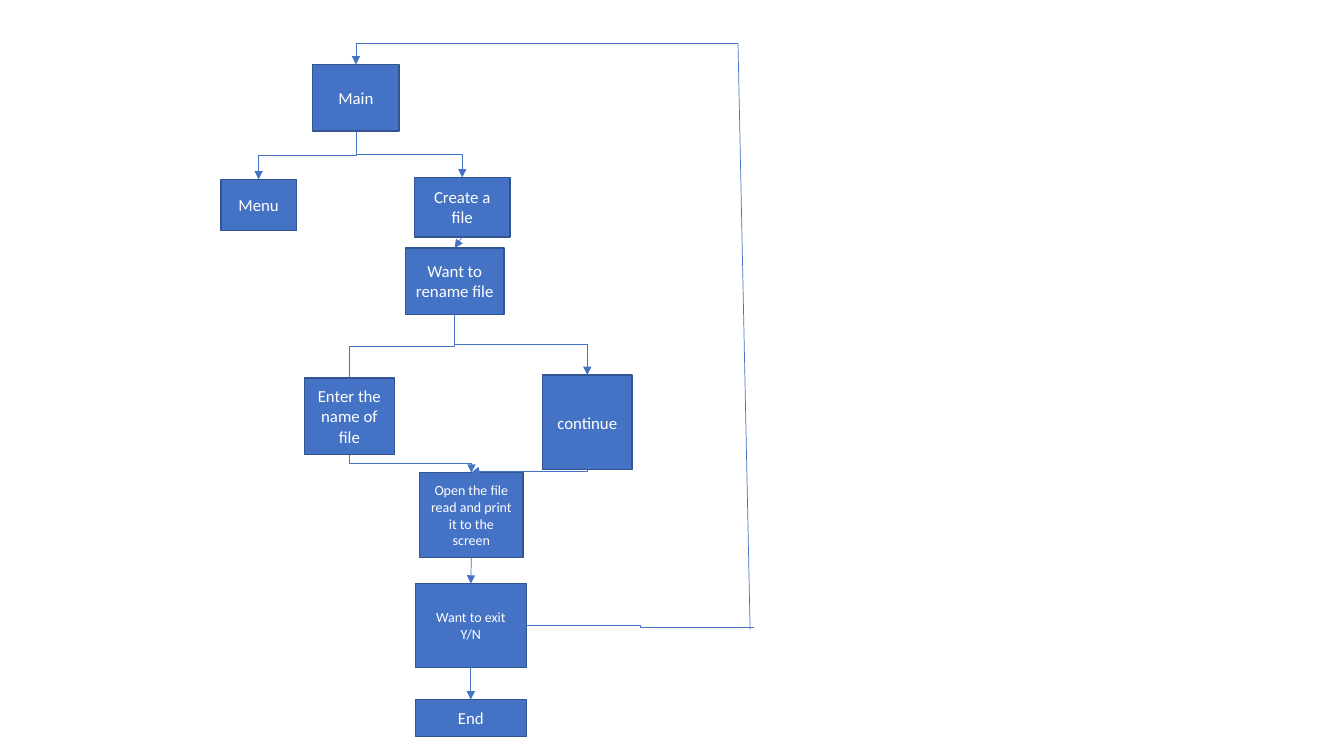
from dataclasses import dataclass

from lxml.etree import SubElement
from pptx import Presentation
from pptx.dml.color import RGBColor
from pptx.enum.shapes import MSO_CONNECTOR, MSO_SHAPE
from pptx.enum.text import MSO_ANCHOR, PP_ALIGN
from pptx.oxml.ns import qn
from pptx.util import Inches, Pt


@dataclass(frozen=True)
class Theme:
    fill: RGBColor = RGBColor(0x44, 0x72, 0xC4)
    border: RGBColor = RGBColor(0x32, 0x54, 0x91)
    text: RGBColor = RGBColor(0xFF, 0xFF, 0xFF)
    font: str = "Calibri"
    normal: int = 12
    small: int = 10
    border_width: float = 1
    flow_width: float = 0.5


theme = Theme()

# Steps: text, left, top, width, height, text size
steps = {
    "main": ("Main", 3.1, 0.64, 0.86, 0.66, theme.normal),
    "exit": ("Want to exit Y/N", 4.12, 5.79, 1.1, 0.83, theme.small),
    "rename": ("Want to rename file", 4.02, 2.46, 0.98, 0.66, theme.normal),
    "name": ("Enter the name of file", 3.02, 3.75, 0.89, 0.76, theme.normal),
    "continue": ("continue", 5.38, 3.72, 0.89, 0.94, theme.normal),
    "menu": ("Menu", 2.19, 1.78, 0.75, 0.51, theme.normal),
    "create": ("Create a file", 4.11, 1.76, 0.95, 0.59, theme.normal),
    "print": ("Open the file read and print it to the screen",
              4.16, 4.69, 1.03, 0.84, theme.small),
    "end": ("End", 4.12, 6.94, 1.1, 0.37, theme.normal),
}

# Flows from the bottom of one step to the top of the next: from, to, arrowhead
branches = [
    ("main", "menu", True),
    ("main", "create", True),
    ("rename", "name", False),
    ("rename", "continue", True),
    ("name", "print", True),
    ("continue", "print", True),
]
straight_flows = [("exit", "end"), ("print", "exit"), ("create", "rename")]

# Way back from the exit question to Main
exit_stub = (7.48, 6.22)
return_corners = [(7.44, 6.25), (7.32, 0.43), (3.53, 0.43)]

presentation = Presentation()
presentation.slide_width = Inches(13.33)
presentation.slide_height = Inches(7.5)
slide = presentation.slides.add_slide(presentation.slide_layouts[6])


def top_of(step):
    _, left, top, width, _, _ = steps[step]
    return left + width / 2, top


def bottom_of(step):
    _, left, top, width, height, _ = steps[step]
    return left + width / 2, top + height


def right_of(step):
    _, left, top, width, height, _ = steps[step]
    return left + width, top + height / 2


def add_step(text, left, top, width, height, size):
    box = slide.shapes.add_shape(
        MSO_SHAPE.RECTANGLE, *map(Inches, (left, top, width, height)))
    box.shadow.inherit = False
    box.fill.solid()
    box.fill.fore_color.rgb = theme.fill
    box.line.color.rgb = theme.border
    box.line.width = Pt(theme.border_width)
    frame = box.text_frame
    frame.word_wrap = True
    frame.vertical_anchor = MSO_ANCHOR.MIDDLE
    frame.text = text
    paragraph = frame.paragraphs[0]
    paragraph.alignment = PP_ALIGN.CENTER
    font = paragraph.runs[0].font
    font.name, font.size = theme.font, Pt(size)
    font.color.rgb = theme.text


def add_flow(start, finish, arrow=True, kind=MSO_CONNECTOR.STRAIGHT):
    flow = slide.shapes.add_connector(kind, *map(Inches, (*start, *finish)))
    flow.line.color.rgb = theme.fill
    flow.line.width = Pt(theme.flow_width)
    properties = flow.element.spPr
    if arrow:
        SubElement(properties.find(qn("a:ln")), qn("a:tailEnd"), type="triangle")
    SubElement(properties, qn("a:effectLst"))
    return flow


def add_branch(start, finish, arrow):
    """Elbow that leaves downwards: a sideways elbow turned by a quarter."""
    (x1, y1), (x2, y2) = start, finish
    middle_x, middle_y = (x1 + x2) / 2, (y1 + y2) / 2
    half_width, half_height = (y2 - y1) / 2, abs(x2 - x1) / 2
    to_right = x2 > x1
    if to_right:
        half_width = -half_width
    flow = add_flow((middle_x - half_width, middle_y - half_height),
                    (middle_x + half_width, middle_y + half_height),
                    arrow, MSO_CONNECTOR.ELBOW)
    degrees = 270 if to_right else 90
    flow.element.spPr.find(qn("a:xfrm")).set("rot", str(degrees * 60000))


# Steps
for step in steps.values():
    add_step(*step)

# Branches and straight flows
for source, target, arrow in branches:
    add_branch(bottom_of(source), top_of(target), arrow)
for source, target in straight_flows:
    add_flow(bottom_of(source), top_of(target))

# Return loop, with the arrowhead on its last leg only
add_flow(right_of("exit"), exit_stub, False, MSO_CONNECTOR.ELBOW)
return_route = return_corners + [top_of("main")]
for start, finish in zip(return_route, return_route[1:]):
    add_flow(start, finish, arrow=finish == return_route[-1])

presentation.save("out.pptx")
